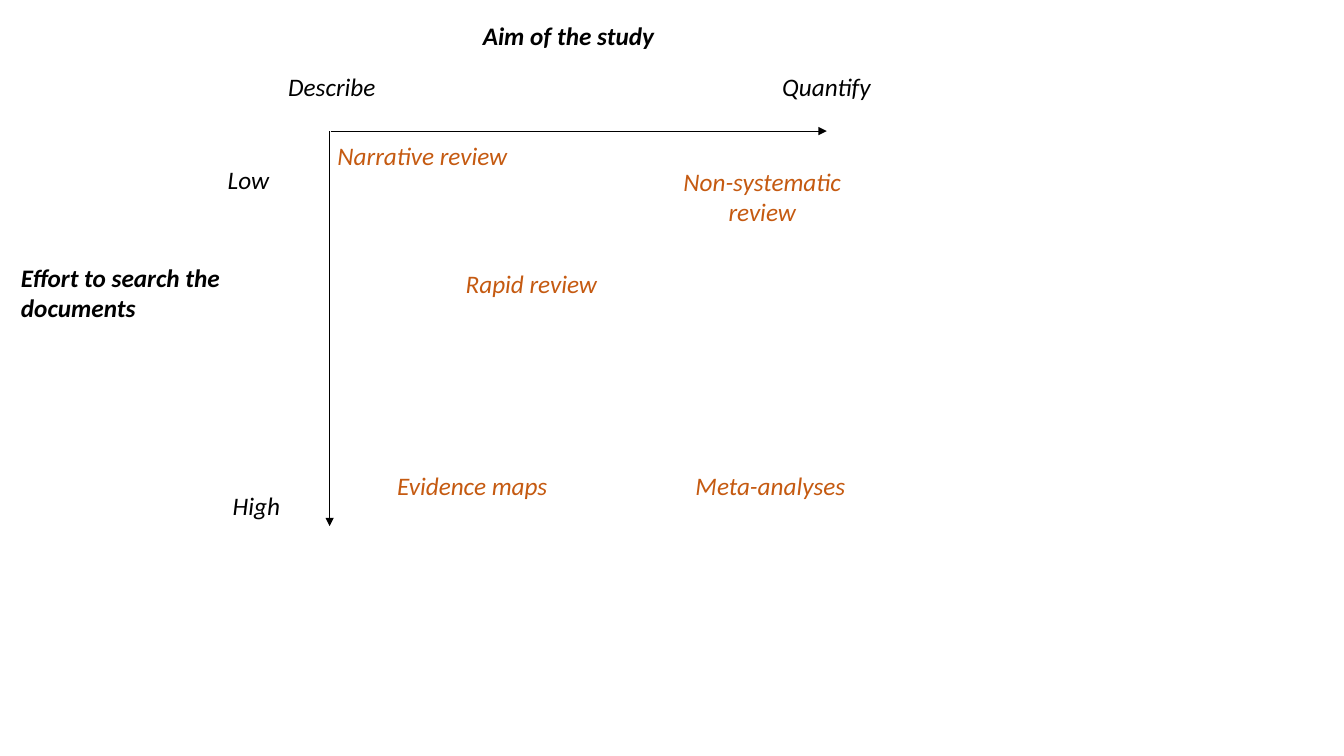
import dataclasses
import typing

import lxml.etree
import pptx
import pptx.dml.color
import pptx.enum.shapes
import pptx.enum.text
import pptx.oxml.ns
import pptx.util

EMU_PER_PX = 9144


@dataclasses.dataclass(frozen=True)
class Theme:
    """Colours, font and sizes used on the slide."""
    font: str = "Calibri"
    text_size: float = 18
    line_width: float = 0.5
    axis: str = "000000"
    review: str = "C55A11"


class Box(typing.NamedTuple):
    """A region of the slide in px."""
    left: int
    top: int
    width: int
    height: int


THEME = Theme()
LINE_HEIGHT = 31
PADDING = 9


def px(length):
    """Turn px into EMU."""
    return pptx.util.Emu(length * EMU_PER_PX)


def add_label(slide, lines, left, top, width, color, bold=False, centered=False):
    """Add an italic label with one paragraph per line."""
    height = len(lines) * LINE_HEIGHT + PADDING
    shape = slide.shapes.add_textbox(px(left), px(top), px(width), px(height))
    frame = shape.text_frame
    frame.word_wrap = False
    frame.auto_size = pptx.enum.text.MSO_AUTO_SIZE.SHAPE_TO_FIT_TEXT
    frame.text = "\n".join(lines)
    for paragraph in frame.paragraphs:
        if centered:
            paragraph.alignment = pptx.enum.text.PP_ALIGN.CENTER
        paragraph.font.name = THEME.font
        paragraph.font.size = pptx.util.Pt(THEME.text_size)
        paragraph.font.bold = bold
        paragraph.font.italic = True
        paragraph.font.color.rgb = pptx.dml.color.RGBColor.from_string(color)


def add_arrow(slide, start, end):
    """Add a thin axis line with a triangle at its end."""
    connector = slide.shapes.add_connector(
        pptx.enum.shapes.MSO_CONNECTOR.STRAIGHT, *map(px, (*start, *end)))
    connector.line.width = pptx.util.Pt(THEME.line_width)
    connector.line.color.rgb = pptx.dml.color.RGBColor.from_string(THEME.axis)
    qualify = pptx.oxml.ns.qn
    properties = connector._element.spPr
    line = properties.find(qualify("a:ln"))
    lxml.etree.SubElement(line, qualify("a:tailEnd"), type="triangle")
    lxml.etree.SubElement(properties, qualify("a:effectLst"))


def add_aim_axis(slide, box):
    """Draw the horizontal axis with its title and ends above the box."""
    add_arrow(slide, (box.left + 1, box.top), (box.left + box.width, box.top))
    add_label(slide, ["Aim of the study"], box.left + 142, box.top - 115, 192,
              THEME.axis, bold=True)
    for text, offset in (("Describe", -51), ("Quantify", 439)):
        add_label(slide, [text], box.left + offset, box.top - 64, 109, THEME.axis)


def add_effort_axis(slide, box):
    """Draw the vertical axis with its title and ends left of the box."""
    add_arrow(slide, (box.left, box.top), (box.left, box.top + box.height))
    add_label(slide, ["Effort to search the", "documents"],
              box.left - 316, box.top + 125, 227, THEME.axis, bold=True)
    for text, left, top, width in (("Low", -111, 28, 62), ("High", -106, 352, 68)):
        add_label(slide, [text], box.left + left, box.top + top, width, THEME.axis)


def add_reviews(slide, box):
    """Place the review types by aim and search effort inside the box."""
    reviews = (
        (["Evidence maps"], 57, 332, 171, False),
        (["Meta-analyses"], 353, 332, 170, False),
        (["Rapid review"], 125, 131, 152, False),
        (["Non-systematic", "review"], 340, 30, 178, True),
        (["Narrative review"], -3, 4, 190, True),
    )
    for lines, left, top, width, centered in reviews:
        add_label(slide, lines, box.left + left, box.top + top, width,
                  THEME.review, centered=centered)


def main():
    """Build and save the slide."""
    presentation = pptx.Presentation()
    presentation.slide_width = px(1333)
    presentation.slide_height = px(750)
    slide = presentation.slides.add_slide(presentation.slide_layouts[6])
    plot = Box(327, 130, 493, 392)
    add_aim_axis(slide, plot)
    add_effort_axis(slide, plot)
    add_reviews(slide, plot)
    presentation.save("out.pptx")


if __name__ == "__main__":
    main()
